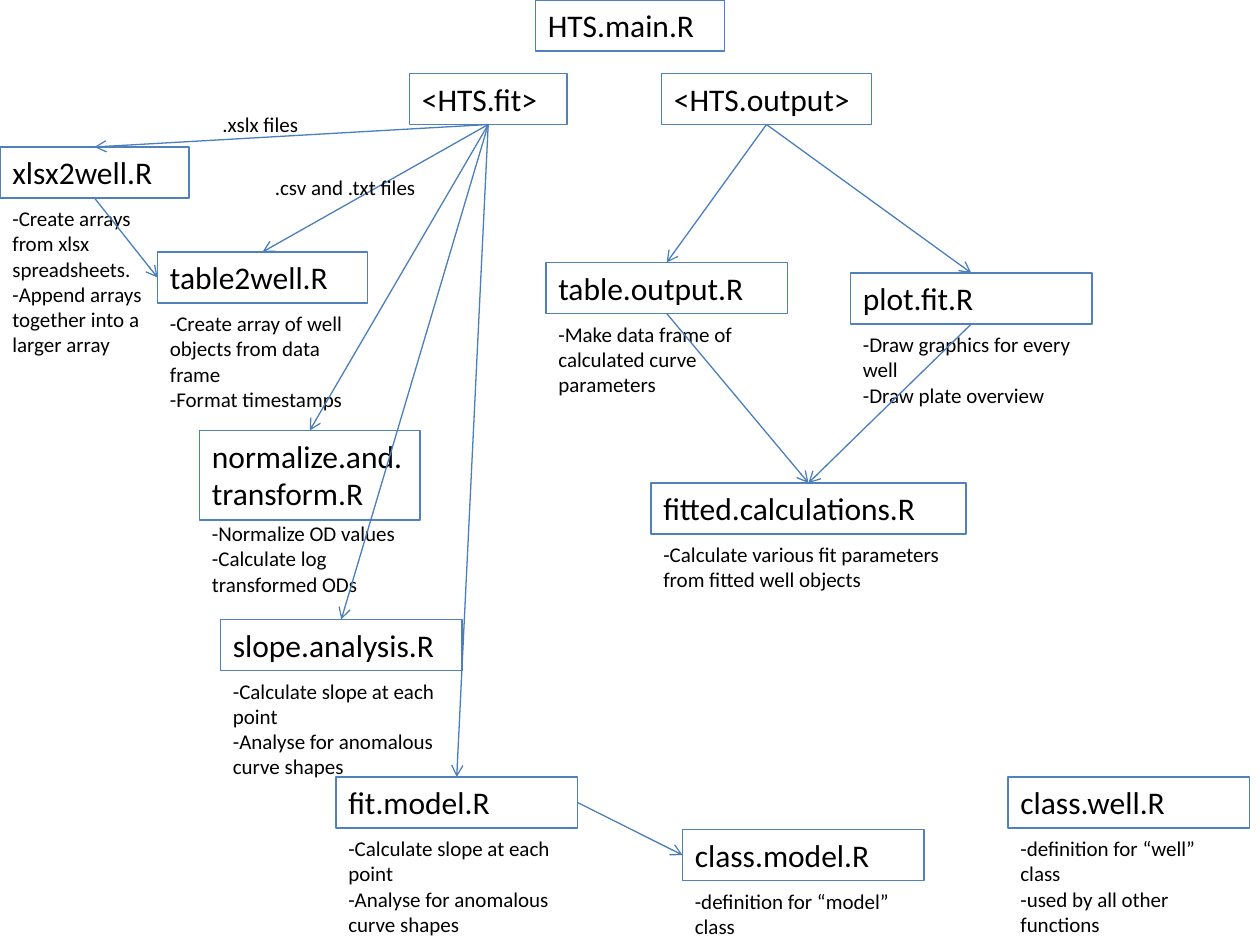
"""Build a one-slide call map of the HTS scripts."""
from dataclasses import dataclass

from lxml import etree
from pptx import Presentation
from pptx.dml.color import RGBColor
from pptx.enum.shapes import MSO_CONNECTOR, MSO_SHAPE
from pptx.enum.text import MSO_ANCHOR, MSO_AUTO_SIZE, PP_ALIGN
from pptx.oxml.ns import qn
from pptx.util import Inches, Pt

RECT = MSO_SHAPE.RECTANGLE
STRAIGHT = MSO_CONNECTOR.STRAIGHT
TOP_ANCHOR = MSO_ANCHOR.TOP
GROW = MSO_AUTO_SIZE.SHAPE_TO_FIT_TEXT
LEFT_ALIGN = PP_ALIGN.LEFT
TOP, LEFT, BOTTOM, RIGHT = range(4)
CELLS_PER_INCH = 12


@dataclass(frozen=True)
class Theme:
    font: str = "Calibri"
    title_size: int = 18
    note_size: int = 12
    text: RGBColor = RGBColor(0, 0, 0)
    border: RGBColor = RGBColor(0x4F, 0x81, 0xBD)
    arrow: RGBColor = RGBColor(0x4B, 0x7E, 0xBC)
    line_width: float = 0.75


THEME = Theme()

SLOPE_NOTES = ["-Calculate slope at each point", "-Analyse for anomalous curve shapes"]

# name, column, row, width, title lines, notes, note lines
MODULES = [
    ("HTS.main.R", 51, 0, 18, 1, [], 0),
    ("<HTS.fit>", 39, 7, 15, 1, [], 0),
    ("<HTS.output>", 63, 7, 20, 1, [], 0),
    ("xlsx2well.R", 0, 14, 18, 1,
     ["-Create arrays from xlsx spreadsheets.",
      "-Append arrays together into a larger array"], 6),
    ("table2well.R", 15, 24, 20, 1,
     ["-Create array of well objects from data frame", "-Format timestamps"], 5),
    ("normalize.and.transform.R", 19, 41, 21, 2,
     ["-Normalize OD values", "-Calculate log transformed ODs"], 3),
    ("slope.analysis.R", 21, 59, 23, 1, SLOPE_NOTES, 4),
    ("fit.model.R", 32, 74, 23, 1, SLOPE_NOTES, 4),
    ("table.output.R", 52, 25, 23, 1,
     ["-Make data frame of calculated curve parameters"], 3),
    ("plot.fit.R", 81, 26, 23, 1,
     ["-Draw graphics for every well", "-Draw plate overview"], 3),
    ("fitted.calculations.R", 62, 46, 30, 1,
     ["-Calculate various fit parameters from fitted well objects"], 2),
    ("class.model.R", 65, 79, 23, 1, ["-definition for “model” class"], 2),
    ("class.well.R", 96, 74, 23, 1,
     ["-definition for “well” class", "-used by all other functions"], 4),
]

CALLS = [
    ("<HTS.fit>", BOTTOM, "xlsx2well.R", TOP),
    ("<HTS.fit>", BOTTOM, "table2well.R", TOP),
    ("<HTS.fit>", BOTTOM, "normalize.and.transform.R", TOP),
    ("<HTS.fit>", BOTTOM, "slope.analysis.R", TOP),
    ("<HTS.fit>", BOTTOM, "fit.model.R", TOP),
    ("xlsx2well.R", BOTTOM, "table2well.R", LEFT),
    ("fit.model.R", RIGHT, "class.model.R", LEFT),
    ("<HTS.output>", BOTTOM, "table.output.R", TOP),
    ("<HTS.output>", BOTTOM, "plot.fit.R", TOP),
    ("table.output.R", BOTTOM, "fitted.calculations.R", TOP),
    ("plot.fit.R", BOTTOM, "fitted.calculations.R", TOP),
]

FILE_LABELS = [(".xslx files", 20, 10, 21), (".csv and .txt files", 25, 16, 25)]


def cells(n):
    """Convert grid cells to a length."""
    return Inches(n / CELLS_PER_INCH)


def write(sp, paragraphs, size, color=THEME.text, font=THEME.font):
    """Fill a shape with left-aligned paragraphs in one format."""
    tf = sp.text_frame
    tf.word_wrap = True
    tf.auto_size = GROW
    tf.vertical_anchor = TOP_ANCHOR
    for i, text in enumerate(paragraphs):
        p = tf.add_paragraph() if i else tf.paragraphs[0]
        p.alignment = LEFT_ALIGN
        r = p.add_run()
        r.text = text
        r.font.size = Pt(size)
        r.font.name = font
        r.font.color.rgb = color


def add_box(shapes, name, col, row, width, lines):
    """Add an outlined box with a script name."""
    sp = shapes.add_shape(RECT, cells(col), cells(row), cells(width),
                          Inches(0.1 + 0.305 * lines))
    sp.shadow.inherit = False
    sp.fill.background()
    sp.line.color.rgb = THEME.border
    sp.line.width = Pt(THEME.line_width)
    write(sp, [name], THEME.title_size)
    return sp


def add_note(shapes, paragraphs, col, row, width, lines):
    """Add small plain text."""
    sp = shapes.add_textbox(cells(col), cells(row), cells(width),
                            Inches(0.1 + 0.2 * lines))
    write(sp, paragraphs, THEME.note_size)


def add_module(shapes, name, col, row, width, lines, notes, note_lines):
    """Add a box, grouped with its notes if it has any."""
    if not notes:
        return add_box(shapes, name, col, row, width, lines)
    group = shapes.add_group_shape().shapes
    sp = add_box(group, name, col, row, width, lines)
    add_note(group, notes, col, row + 2 + 3 * lines, width, note_lines)
    return sp


def add_arrow(shapes, start, start_site, end, end_site):
    """Join two boxes with an open-headed arrow."""
    line = shapes.add_connector(STRAIGHT, 0, 0, 0, 0)
    line.begin_connect(start, start_site)
    line.end_connect(end, end_site)
    line.line.color.rgb = THEME.arrow
    line.line.width = Pt(THEME.line_width)
    etree.SubElement(line.line._get_or_add_ln(), qn("a:tailEnd"), type="arrow")
    etree.SubElement(line._element.spPr, qn("a:effectLst"))


def main():
    """Build and save the slide."""
    prs = Presentation()
    prs.slide_width, prs.slide_height = Inches(10), Inches(7.5)
    shapes = prs.slides.add_slide(prs.slide_layouts[6]).shapes
    boxes = {module[0]: add_module(shapes, *module) for module in MODULES}
    for start, start_site, end, end_site in CALLS:
        add_arrow(shapes, boxes[start], start_site, boxes[end], end_site)
    for text, col, row, width in FILE_LABELS:
        add_note(shapes, [text], col, row, width, 1)
    prs.save("out.pptx")


main()
